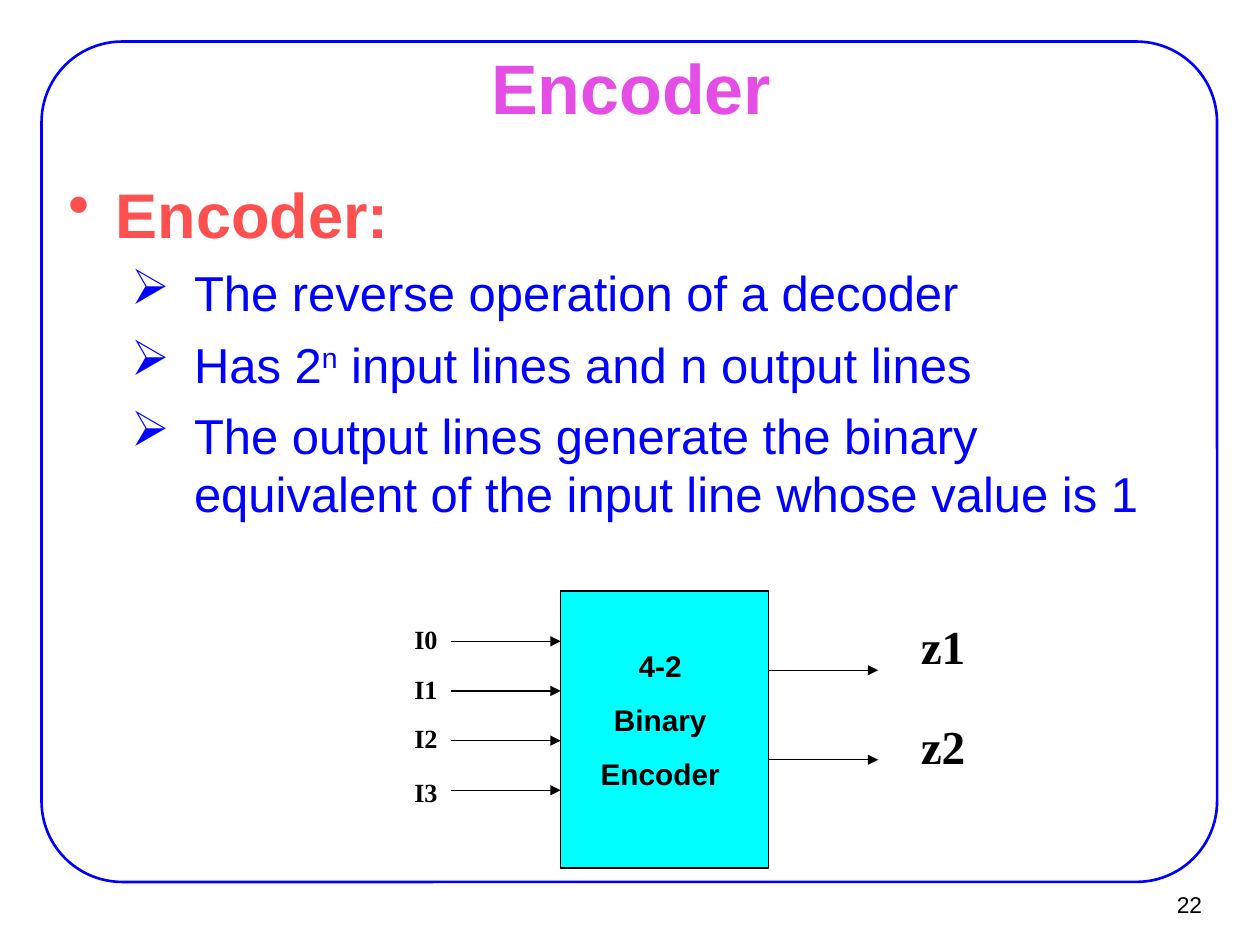
"""Build the slide that explains a 4-2 binary encoder."""
import pptx
import pptx.dml.color
import pptx.enum.shapes
import pptx.enum.text
import pptx.oxml
import pptx.oxml.ns
import pptx.util

Inches = pptx.util.Inches
Pt = pptx.util.Pt
RGBColor = pptx.dml.color.RGBColor
Align = pptx.enum.text.PP_ALIGN
Anchor = pptx.enum.text.MSO_ANCHOR
Shapes = pptx.enum.shapes.MSO_SHAPE

BLUE = RGBColor(0x00, 0x00, 0xFF)
PINK = RGBColor(0xE4, 0x4E, 0xE4)
CORAL = RGBColor(0xFF, 0x50, 0x50)
CYAN = RGBColor(0x00, 0xFF, 0xFF)
BLACK = RGBColor(0x00, 0x00, 0x00)

TITLE = {"name": "Arial", "size": Pt(40), "bold": True}
HEADING = {"name": "Arial", "size": Pt(36), "bold": True}
POINT = {"name": "Arial", "size": Pt(28), "bold": False}
PAGE = {"name": "Arial", "size": Pt(13)}
BLOCK = {"name": "Arial", "size": Pt(17), "bold": True}
INPUT = {"name": "Times New Roman", "size": Pt(15), "bold": True}
OUTPUT = {"name": "Times New Roman", "size": Pt(27), "bold": True}

POINTS = [
    [("The reverse operation of a decoder", 0)],
    [("Has 2", 0), ("n", 30000), (" input lines and n output lines", 0)],
    [("The output lines generate the binary equivalent of the input line whose value is 1", 0)],
]


def apply_format(target, values):
    """Set each attribute named in values on target."""
    for name, value in values.items():
        setattr(target, name, value)


def add_frame(slide, box, margins=(0.1, 0.05), **frame_format):
    """Add an empty text box and return its text frame."""
    frame = slide.shapes.add_textbox(*map(Inches, box)).text_frame
    side, end = map(Inches, margins)
    apply_format(frame, {"word_wrap": True, "margin_left": side, "margin_right": side,
                         "margin_top": end, "margin_bottom": end, **frame_format})
    return frame


def add_paragraph(frame, runs, font, color, **paragraph_format):
    """Write (text, baseline) runs in the first empty paragraph or a new one."""
    first = frame.paragraphs[0]
    paragraph = frame.add_paragraph() if first.runs else first
    apply_format(paragraph, paragraph_format)
    for text, baseline in runs:
        run = paragraph.add_run()
        run.text = text
        apply_format(run.font, font)
        run.font.color.rgb = color
        if baseline:
            run.font._element.set("baseline", str(baseline))
    return paragraph


def add_bullet(paragraph, character, color, left, hanging):
    """Give a paragraph a coloured bullet with a hanging indent."""
    properties = paragraph._p.get_or_add_pPr()
    properties.set("marL", str(Inches(left)))
    properties.set("indent", str(-Inches(hanging)))
    bullet_color = pptx.oxml.parse_xml(
        f'<a:buClr {pptx.oxml.ns.nsdecls("a")}><a:srgbClr val="{color}"/></a:buClr>')
    bullet = pptx.oxml.parse_xml(
        f'<a:buChar {pptx.oxml.ns.nsdecls("a")} char="{character}"/>')
    properties.extend([bullet_color, bullet])


def add_box(slide, kind, box, line_color, line_width, fill=None):
    """Add an outlined shape, filled when a colour is given."""
    shape = slide.shapes.add_shape(kind, *map(Inches, box))
    shape.shadow.inherit = False
    shape.line.color.rgb = line_color
    shape.line.width = Pt(line_width)
    if fill is None:
        shape.fill.background()
    else:
        shape.fill.solid()
        shape.fill.fore_color.rgb = fill
    return shape


def add_signal(slide, start, end, height):
    """Add a horizontal arrow from start to end."""
    arrow = slide.shapes.add_connector(
        pptx.enum.shapes.MSO_CONNECTOR.STRAIGHT,
        Inches(start), Inches(height), Inches(end), Inches(height))
    arrow.line.color.rgb = BLACK
    arrow.line.width = Pt(0.75)
    namespace = pptx.oxml.ns.nsdecls("a")
    arrow.line._get_or_add_ln().append(
        pptx.oxml.parse_xml(f'<a:tailEnd {namespace} type="triangle"/>'))
    arrow._element.spPr.append(pptx.oxml.parse_xml(f'<a:effectLst {namespace}/>'))


def add_label(slide, text, box, font, space):
    """Add the name of one signal."""
    add_paragraph(add_frame(slide, box), [(text, 0)], font, BLACK, space_before=Pt(space))


def add_explanation(slide):
    """Add the heading and its bulleted points."""
    frame = add_frame(slide, (0.43, 1.33, 9.21, 5.08), (0.11, 0.06))
    heading = add_paragraph(frame, [("Encoder:", 0)], HEADING, CORAL, space_before=Pt(9))
    add_bullet(heading, "•", CORAL, 0.38, 0.38)
    for runs in POINTS:
        point = add_paragraph(frame, runs, POINT, BLUE, level=1, space_before=Pt(7))
        add_bullet(point, "➢", BLUE, 1, 0.5)


def add_diagram(slide):
    """Add the encoder block with its inputs and outputs."""
    add_box(slide, Shapes.RECTANGLE, (4.45, 4.69, 1.65, 2.2), BLACK, 0.75, CYAN)
    for index, top in enumerate((4.9, 5.29, 5.68, 6.11)):
        add_signal(slide, 3.58, 4.45, 5.09 + 0.394 * index)
        add_label(slide, f"I{index}", (3.19, top, 0.47, 0.35), INPUT, 9.4)
    for index in range(2):
        add_signal(slide, 6.1, 6.97, 5.32 + 0.71 * index)
        add_label(slide, f"z{index + 1}", (7.21, 4.85 + 0.79 * index, 0.63, 0.55), OUTPUT, 16.9)
    block = add_frame(slide, (4.53, 5.09, 1.42, 1.25))
    for text in ("4-2", "Binary", "Encoder"):
        add_paragraph(block, [(text, 0)], BLOCK, BLACK,
                      alignment=Align.CENTER, space_before=Pt(10.6))


def main():
    """Build and save the slide."""
    deck = pptx.Presentation()
    apply_format(deck, {"slide_width": Inches(10), "slide_height": Inches(7.5)})
    slide = deck.slides.add_slide(deck.slide_layouts[6])
    border = add_box(slide, Shapes.ROUNDED_RECTANGLE, (0.33, 0.33, 9.33, 6.67), BLUE, 1.5)
    border.adjustments[0] = 0.096
    page = add_frame(slide, (9.02, 6.99, 0.61, 0.37), (0.09, 0.04),
                     word_wrap=False, vertical_anchor=Anchor.MIDDLE)
    add_paragraph(page, [("22", 0)], PAGE, BLACK, alignment=Align.RIGHT)
    title = add_frame(slide, (0.76, 0.44, 8.5, 0.49), (0.11, 0.06),
                      vertical_anchor=Anchor.MIDDLE)
    add_paragraph(title, [("Encoder", 0)], TITLE, PINK, alignment=Align.CENTER)
    add_explanation(slide)
    add_diagram(slide)
    deck.save("out.pptx")


if __name__ == "__main__":
    main()
